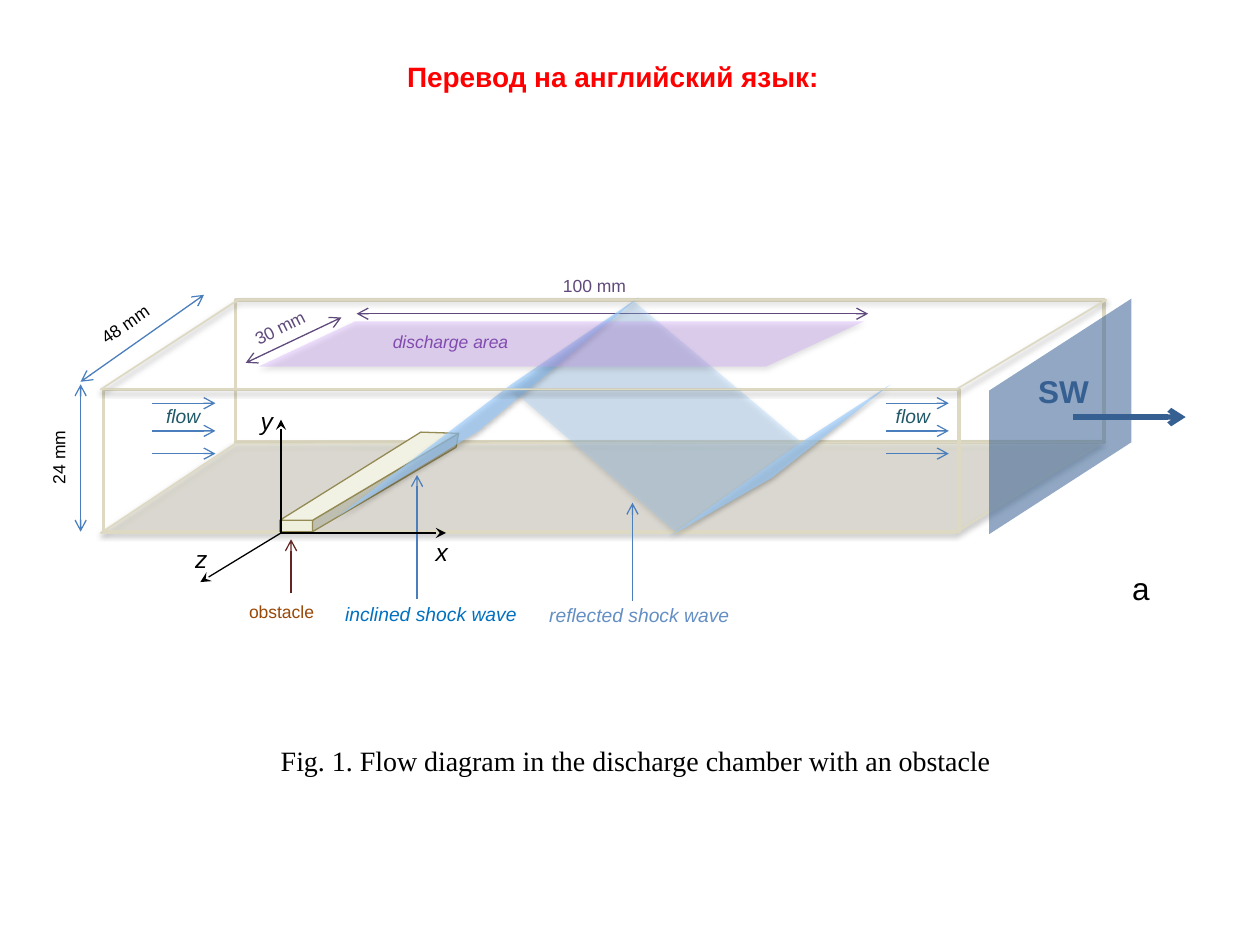
from lxml import etree
from pptx import Presentation
from pptx.dml.color import RGBColor
from pptx.enum.shapes import MSO_CONNECTOR, MSO_SHAPE
from pptx.enum.text import PP_ALIGN
from pptx.oxml.ns import qn
from pptx.util import Pt

PX = 9144  # EMU per px, 100 px to the inch
LEFT, CENTER, RIGHT = PP_ALIGN.LEFT, PP_ALIGN.CENTER, PP_ALIGN.RIGHT
STRAIGHT = MSO_CONNECTOR.STRAIGHT
RECT, PARALLELOGRAM = MSO_SHAPE.RECTANGLE, MSO_SHAPE.PARALLELOGRAM

BLACK = RGBColor(0x00, 0x00, 0x00)
RED = RGBColor(0xFF, 0x00, 0x00)
BEIGE = RGBColor(0xDD, 0xD9, 0xC3)
BLUE = RGBColor(0x4B, 0x7E, 0xBC)
NAVY = RGBColor(0x37, 0x60, 0x92)
SKY = RGBColor(0x99, 0xCC, 0xFF)
BRIGHT_BLUE = RGBColor(0x00, 0x70, 0xC0)
PALE_BLUE = RGBColor(0x64, 0x8F, 0xC4)
TEAL = RGBColor(0x21, 0x59, 0x68)
LILAC = RGBColor(0xCC, 0x99, 0xFF)
PURPLE = RGBColor(0x70, 0x30, 0xA0)
DARK_PURPLE = RGBColor(0x60, 0x4A, 0x7B)
BROWN = RGBColor(0x98, 0x48, 0x07)
MAROON = RGBColor(0x63, 0x25, 0x23)
OLIVE = RGBColor(0x94, 0x8A, 0x54)
CREAM = RGBColor(0xEE, 0xEF, 0xDD)
CREAM_LIGHT = RGBColor(0xF1, 0xF2, 0xE4)
CREAM_DARK = RGBColor(0xBE, 0xBF, 0xB1)

prs = Presentation()
prs.slide_width, prs.slide_height = 1000 * PX, 750 * PX
shapes = prs.slides.add_slide(prs.slide_layouts[6]).shapes


def add_polygon(points, fill=None, opacity=100, line=None, width=1, shadow=True):
    """Closed outline through points, with optional fill, line and soft shadow."""
    builder = shapes.build_freeform(*points[0], scale=PX)
    builder.add_line_segments(points[1:], close=True)
    sp = builder.convert_to_shape()
    sp.shadow.inherit = False
    if fill is None:
        sp.fill.background()
    else:
        sp.fill.solid()
        sp.fill.fore_color.rgb = fill
        color = sp._element.spPr.find(qn("a:solidFill"))[0]
        etree.SubElement(color, qn("a:alpha"), val=str(opacity * 1000))
    if line is None:
        sp.line.fill.background()
    else:
        sp.line.color.rgb = line
        sp.line.width = Pt(width)
    if shadow:
        effects = sp._element.spPr.find(qn("a:effectLst"))
        outer = etree.SubElement(effects, qn("a:outerShdw"), blurRad="39370",
                                 dist="20320", dir="5400000", rotWithShape="0")
        black = etree.SubElement(outer, qn("a:srgbClr"), val="000000")
        etree.SubElement(black, qn("a:alpha"), val="38000")


def add_arrow(x1, y1, x2, y2, color=BLUE, head=None, tail="arrow", width=0.75):
    """Straight arrow; head is the tip at the start, tail the tip at the end."""
    line = shapes.add_connector(STRAIGHT, x1 * PX, y1 * PX, x2 * PX, y2 * PX)
    line.line.color.rgb = color
    line.line.width = Pt(width)
    ln = line.line._get_or_add_ln()
    if head:
        etree.SubElement(ln, qn("a:headEnd"), type=head)
    etree.SubElement(ln, qn("a:tailEnd"), type=tail)
    etree.SubElement(line._element.spPr, qn("a:effectLst"))


# Chamber: back wall, floor, front wall
for x, y, w, h in [(187, 238, 689, 113), (82, 309, 679, 113)]:
    sp = shapes.add_shape(RECT, x * PX, y * PX, w * PX, h * PX)
    sp.shadow.inherit = False
    sp.fill.background()
    sp.line.color.rgb = BEIGE
    sp.line.width = Pt(2)
    if y == 238:
        add_polygon([(80, 423), (187, 352), (875, 351), (758, 423)],
                    BEIGE, 40, line=BEIGE)

# Shock wave panel at the outlet
sp = shapes.add_shape(PARALLELOGRAM, 748 * PX, 274 * PX, 187 * PX, 113 * PX)
sp.adjustments[0] = 0.646
sp.rotation = 90
sp._element.spPr.xfrm.set("flipH", "1")
sp.shadow.inherit = False
sp.fill.solid()
sp.fill.fore_color.rgb = NAVY
color = sp._element.spPr.find(qn("a:solidFill"))[0]
etree.SubElement(color, qn("a:alpha"), val="55000")
sp.line.fill.background()

# text, left, top, width, height, size, color, alignment, style, rotation
labels = [
    ("Перевод на английский язык:", 46, 42, 881, 37, 16, RED, CENTER, "b", 0),
    ("Fig. 1. Flow diagram in the discharge chamber with an obstacle",
     64, 585, 881, 37, 16, BLACK, CENTER, "serif", 0),
    ("24 mm", 14, 348, 65, 27, 10, BLACK, LEFT, "", 270),
    ("48 mm", 68, 243, 65, 27, 10, BLACK, LEFT, "", 325.5),
    ("30 mm", 191, 246, 65, 27, 10, DARK_PURPLE, LEFT, "", 333.2),
    ("100 mm", 437, 213, 74, 27, 10, DARK_PURPLE, LEFT, "", 0),
    ("discharge area", 299, 258, 117, 27, 10, PURPLE, CENTER, "i", 0),
    ("flow", 96, 316, 73, 29, 11, TEAL, RIGHT, "i", 0),
    ("flow", 675, 316, 73, 29, 11, TEAL, RIGHT, "i", 0),
    ("obstacle", 129, 472, 130, 27, 10, BROWN, RIGHT, "", 0),
    ("inclined shock wave", 264, 473, 211, 29, 11, BRIGHT_BLUE, LEFT, "i", 0),
    ("reflected shock wave", 426, 474, 232, 29, 11, PALE_BLUE, LEFT, "i", 0),
    ("SW", 814, 290, 62, 40, 18, NAVY, LEFT, "b", 0),
    ("x", 336, 421, 24, 37, 14, BLACK, LEFT, "i", 0),
    ("y", 197, 317, 28, 35, 14, BLACK, LEFT, "i", 0),
    ("z", 145, 427, 33, 32, 14, BLACK, LEFT, "i", 0),
    ("a", 885, 447, 41, 40, 18, BLACK, CENTER, "", 0),
]
for text, x, y, w, h, size, color, align, style, rotation in labels:
    sp = shapes.add_textbox(x * PX, y * PX, w * PX, h * PX)
    sp.rotation = rotation
    tf = sp.text_frame
    tf.word_wrap = True
    p = tf.paragraphs[0]
    p.text = text
    p.alignment = align
    p.font.name = "Times New Roman" if style == "serif" else "Arial"
    p.font.size = Pt(size)
    p.font.bold = style == "b"
    p.font.italic = style == "i"
    p.font.color.rgb = color

# Dimension arrows
for *ends, color in [(64, 305, 64, 422, BLUE), (162, 234, 64, 303, BLUE),
                     (283, 249, 689, 249, DARK_PURPLE),
                     (271, 252, 195, 288, DARK_PURPLE)]:
    add_arrow(*ends, color, head="arrow")

# Flow arrows at the inlet and the outlet
for x in (121, 703):
    for y in (320, 342, 360):
        add_arrow(x, y, x + 50, y)

# Obstacle: front, side and top faces
for face, fill in [
    ([(222, 413), (248, 413), (248, 422), (222, 422)], CREAM),
    ([(248, 413), (364, 344), (362, 355), (248, 422)], CREAM_DARK),
    ([(222, 413), (334, 343), (364, 344), (248, 413)], CREAM_LIGHT),
]:
    add_polygon(face, fill, line=OLIVE, width=0.75, shadow=False)

# Inclined wave, reflected wave, discharge area, second reflection
for plane, fill, opacity in [
    ([(268, 410), (406, 305), (507, 236), (380, 342)], SKY, 65),
    ([(406, 309), (536, 422), (636, 351), (503, 239)], SKY, 30),
    ([(205, 291), (282, 255), (686, 255), (608, 291)], LILAC, 30),
    ([(531, 426), (633, 353), (707, 305), (613, 379)], SKY, 65),
]:
    add_polygon(plane, fill, opacity)

# Top edge of the chamber
add_polygon([(80, 309), (189, 238), (878, 238), (759, 309)], line=BEIGE)

# Pointers from the captions, then the shock wave direction
add_arrow(231, 471, 231, 428, MAROON)
add_arrow(331, 475, 331, 377)
add_arrow(502, 477, 502, 399)
add_arrow(852, 331, 941, 331, NAVY, width=3)

# Axes y, z, x
for x, y in [(223, 333), (159, 462), (354, 423)]:
    add_arrow(223, 423, x, y, BLACK, tail="stealth")

prs.save("out.pptx")
